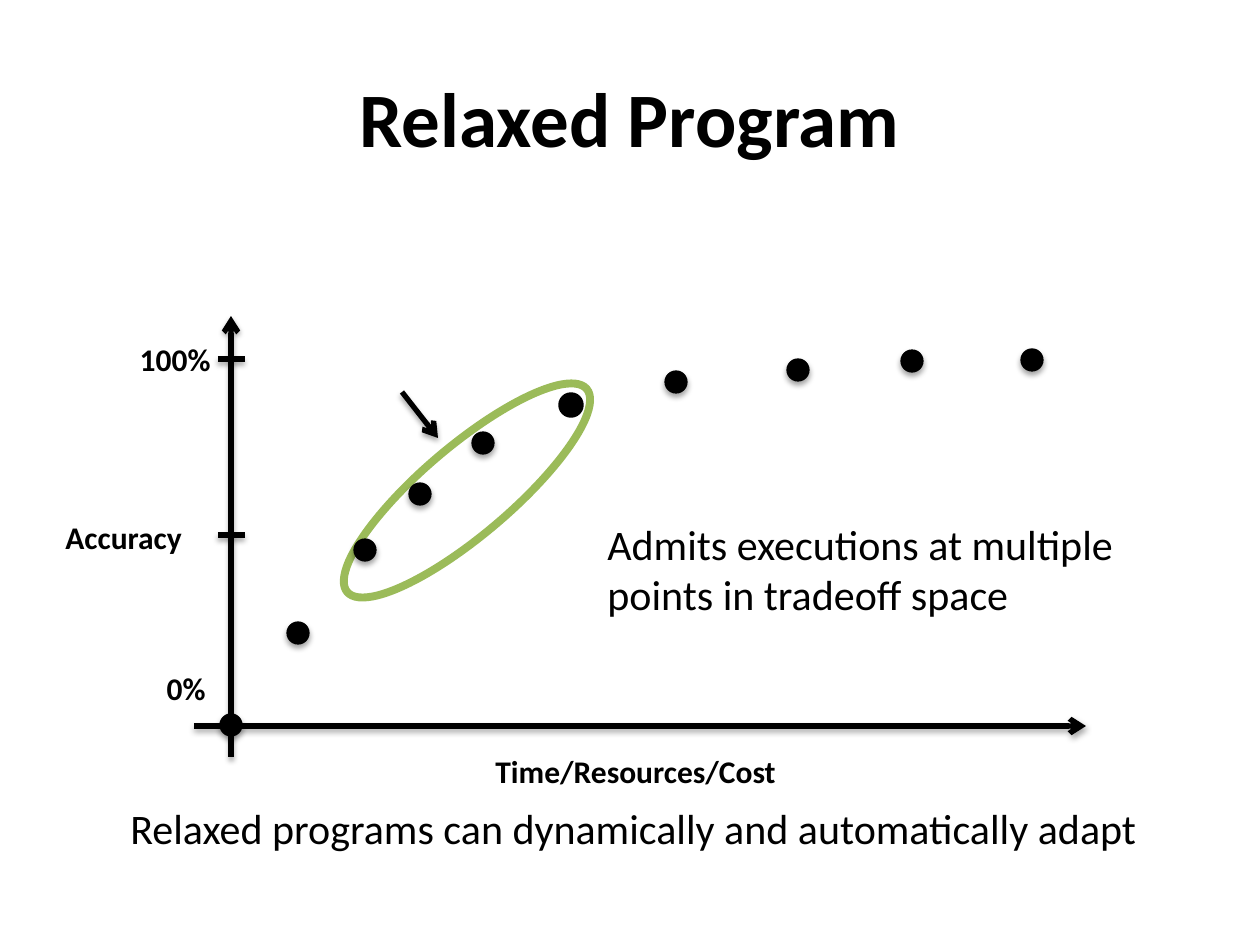
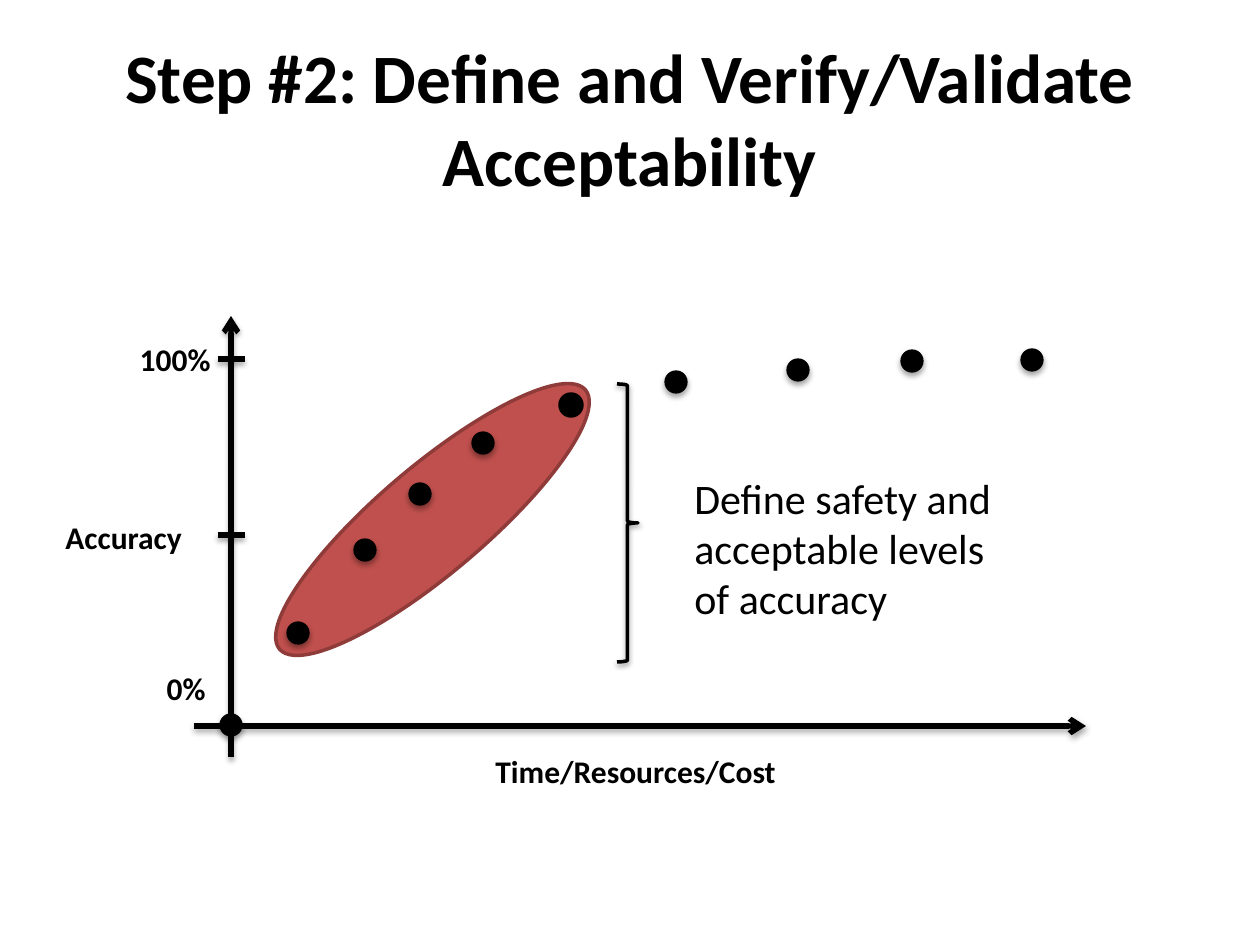
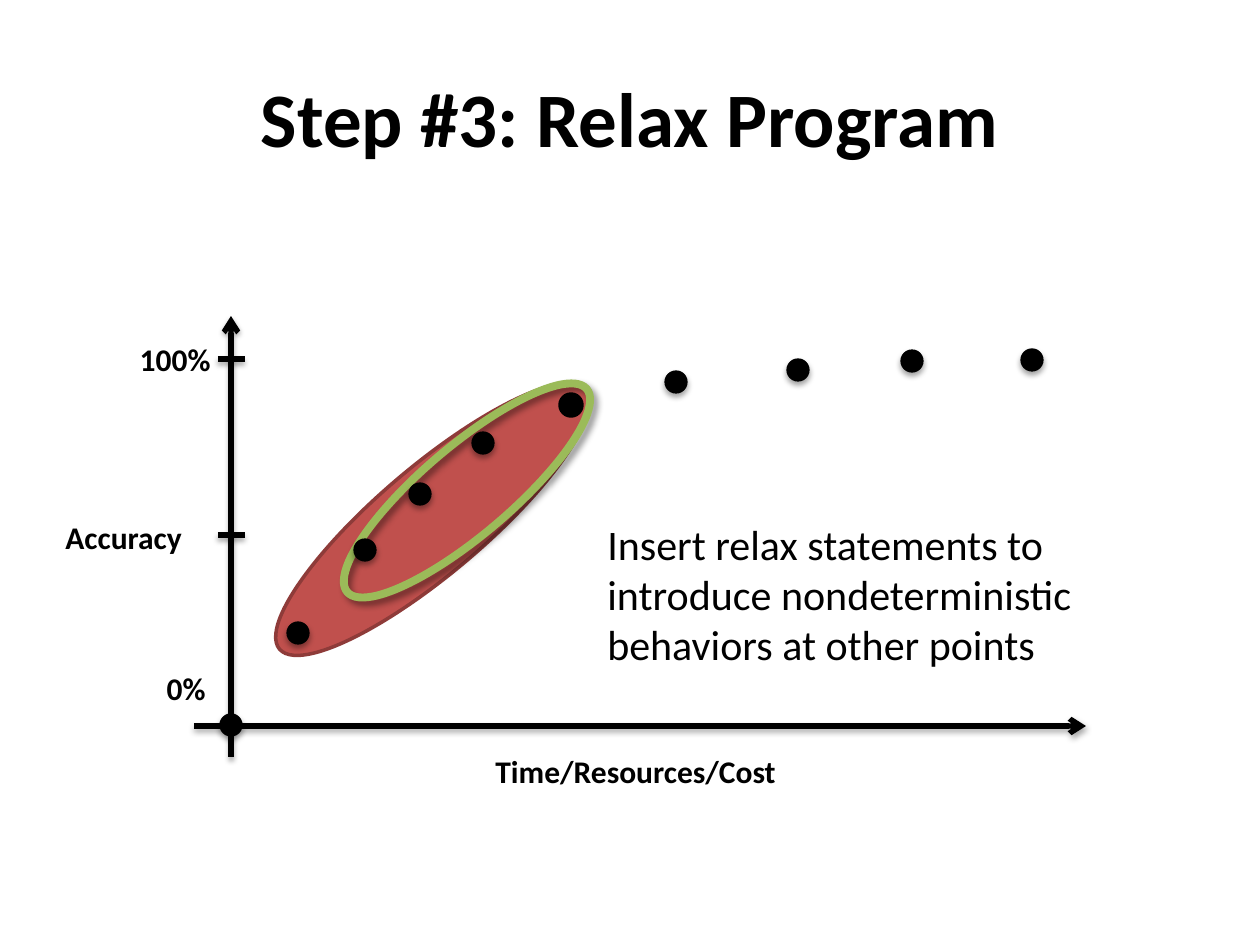
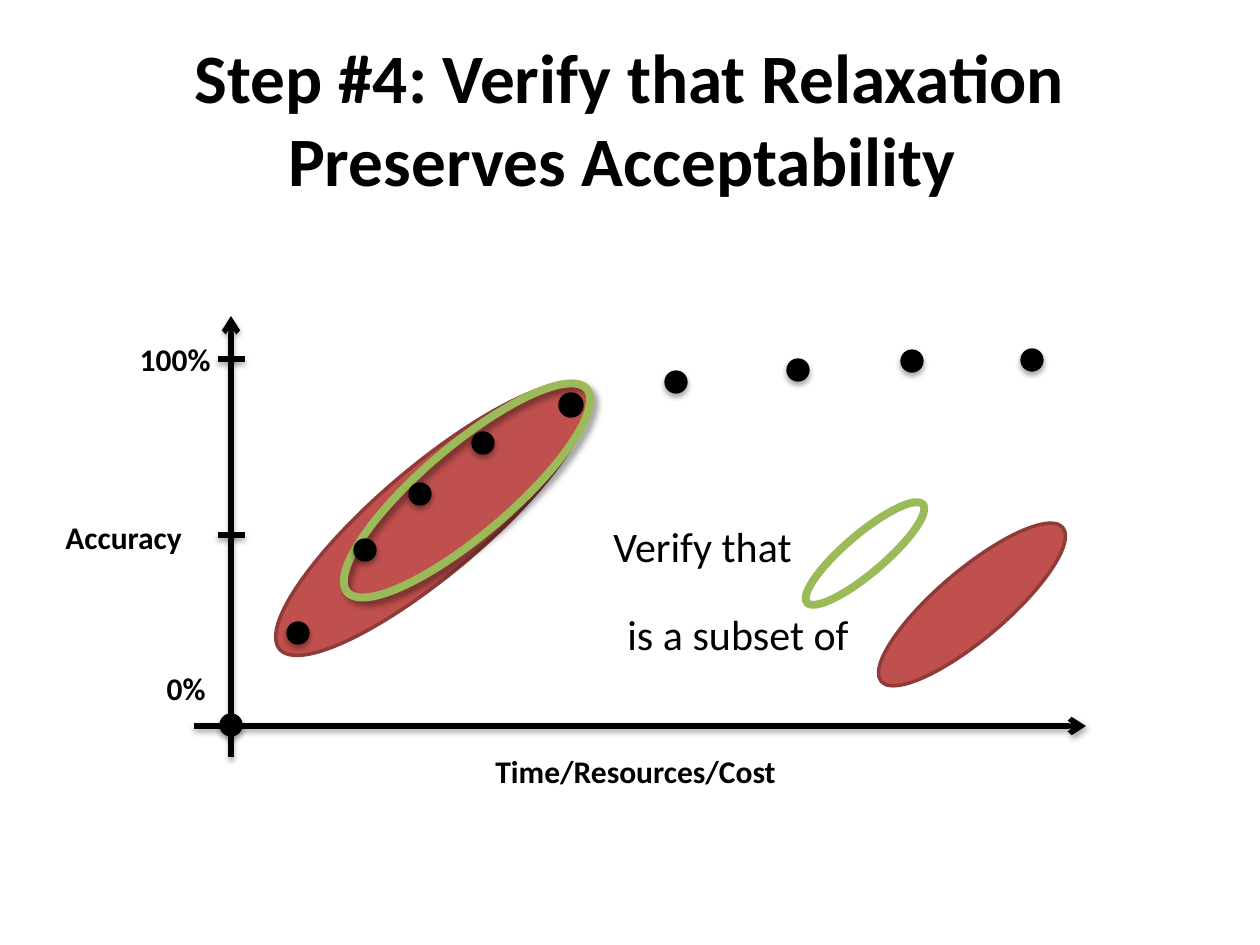
from dataclasses import dataclass
from lxml.etree import SubElement as Sub
from pptx import Presentation
from pptx.dml.color import RGBColor as RGB
from pptx.enum.shapes import MSO_CONNECTOR as Conn, MSO_SHAPE as Geo
from pptx.enum.text import MSO_ANCHOR as Anchor, MSO_AUTO_SIZE as Fit, PP_ALIGN as Align
from pptx.oxml.ns import qn
from pptx.util import Emu, Pt

SCALE = 914400 / 126  # EMU in one px


def px(n):
    return Emu(round(n * SCALE))


@dataclass(frozen=True)
class Theme:
    font: str = "Calibri"
    ink: str = "000000"
    red: str = "C0504D"
    rim: str = "8E3B39"
    green: str = "9BBB59"
    head: float = 44
    long: float = 39.6
    body: float = 24
    label: float = 18
    tilt: float = 319.7
    # Shadows: opacity %, blur pt, distance pt, angle
    soft: tuple = (35, 3.1, 1.8, 90)
    brace: tuple = (38, 3.1, 1.6, 90)
    cast: tuple = (40, 4, 3, 45)


class Deck:
    def __init__(self, theme):
        self.theme = theme
        self.prs = Presentation()
        self.prs.slide_width, self.prs.slide_height = px(1260), px(945)
        self.slide = None

    def page(self):
        self.slide = self.prs.slides.add_slide(self.prs.slide_layouts[6])

    def shade(self, item, shadow):
        """Give the item an outer shadow, or none at all."""
        fx = Sub(item._element.spPr, qn("a:effectLst"))
        if shadow:
            alpha, blur, dist, angle = shadow
            outer = Sub(fx, qn("a:outerShdw"), blurRad=str(Pt(blur)),
                        dist=str(Pt(dist)), dir=str(angle * 60000), rotWithShape="0")
            tint = Sub(outer, qn("a:srgbClr"), val=self.theme.ink)
            Sub(tint, qn("a:alpha"), val=str(alpha * 1000))

    def stroke(self, item, color, width):
        item.line.color.rgb = RGB.from_string(color)
        item.line.width = Pt(width)

    def shape(self, geo, box, fill, color, width, shadow=None, turn=0):
        item = self.slide.shapes.add_shape(geo, *map(px, box))
        item.rotation = turn
        if fill:
            item.fill.solid()
            item.fill.fore_color.rgb = RGB.from_string(fill)
        else:
            item.fill.background()
        self.stroke(item, color, width)
        self.shade(item, shadow)

    def line(self, start, end, arrow=False):
        item = self.slide.shapes.add_connector(Conn.STRAIGHT, *map(px, start + end))
        self.stroke(item, self.theme.ink, 3)
        if arrow:
            Sub(item._element.spPr.find(qn("a:ln")), qn("a:tailEnd"), type="arrow")
        self.shade(item, self.theme.soft)

    def text(self, box, words, size, bold=False, align=Align.LEFT, wrap=True,
             fit=Fit.SHAPE_TO_FIT_TEXT, anchor=Anchor.TOP):
        frame = self.slide.shapes.add_textbox(*map(px, box)).text_frame
        frame.word_wrap = wrap
        frame.auto_size = fit
        frame.vertical_anchor = anchor
        para = frame.paragraphs[0]
        para.alignment = align
        run = para.add_run()
        run.text = words
        font = run.font
        font.name, font.size, font.bold = self.theme.font, Pt(size), bold
        font.color.rgb = RGB.from_string(self.theme.ink)

    def title(self, words, size):
        self.text((63, 38, 1134, 158), words, size, True, Align.CENTER,
                  fit=Fit.NONE, anchor=Anchor.MIDDLE)

    def note(self, box, words):
        self.text(box, words, self.theme.body)

    def label(self, box, words, align=Align.LEFT):
        self.text(box, words, self.theme.label, True, align, wrap=False)

    def region(self, box):
        """Red ellipse: the acceptable region."""
        t = self.theme
        self.shape(Geo.OVAL, box, t.red, t.rim, 2, turn=t.tilt)

    def ring(self, box, shadow=None):
        """Green outline: the relaxed executions."""
        t = self.theme
        self.shape(Geo.OVAL, box, None, t.green, 4.5, shadow, t.tilt)

    def dot(self, x, y, width=0.75, shadow=None):
        ink = self.theme.ink
        self.shape(Geo.OVAL, (x - 11, y - 11, 22, 22), ink, ink, width, shadow)

    def axes(self):
        self.line((231, 757), (231, 316), True)
        self.line((194, 726), (1086, 726), True)
        self.label((53, 512, 145, 50), "Accuracy")
        self.label((483, 746, 310, 50), "Time/Resources/Cost")
        self.label((154, 663, 64, 50), "0%", Align.RIGHT)
        self.label((126, 334, 97, 50), "100%", Align.RIGHT)
        for y in (359, 535):
            self.line((218, y), (245, y))

    def dots(self):
        for x, y in POINTS:
            self.dot(x, y, shadow=self.theme.soft)
        self.dot(*EDGE, width=2)


POINTS = [(231, 725), (298, 633), (365, 550), (420, 494), (483, 443),
          (676, 382), (798, 370), (912, 361), (1032, 360)]
EDGE = (571, 405)
REGION = (232, 466, 401, 107)
RELAXED = (310, 446, 314, 89)


def plot(deck, title, size, region=True, ring=True, shadow=None):
    """Start a slide with its title and the tradeoff plot."""
    deck.page()
    if region:
        deck.region(REGION)
    deck.title(title, size)
    deck.axes()
    if ring:
        deck.ring(RELAXED, shadow)
    deck.dots()


def main():
    t = Theme()
    deck = Deck(t)

    plot(deck, "Relaxed Program", t.head, region=False)
    deck.line((402, 392), (438, 438), True)
    deck.note((595, 512, 562, 115),
              "Admits executions at multiple points in tradeoff space")
    deck.note((118, 796, 1040, 63),
              "Relaxed programs can dynamically and automatically adapt")

    plot(deck, "Step #2: Define and Verify/Validate Acceptability", t.long, ring=False)
    deck.shape(Geo.RIGHT_BRACE, (617, 384, 21, 278), None, t.ink, 2, t.brace)
    deck.note((682, 466, 350, 165), "Define safety and acceptable levels of accuracy")

    plot(deck, "Step #3: Relax Program", t.head, shadow=t.cast)
    deck.note((595, 512, 528, 165), "Insert relax statements to introduce "
              "nondeterministic behaviors at other points")

    plot(deck, "Step #4: Verify that Relaxation Preserves Acceptability ", t.long,
         shadow=t.cast)
    deck.note((601, 514, 312, 63), "Verify that")
    deck.ring((789, 534, 152, 39))
    deck.note((615, 602, 312, 63), "is a subset of")
    deck.region((853, 570, 238, 69))

    deck.prs.save("out.pptx")


if __name__ == "__main__":
    main()
